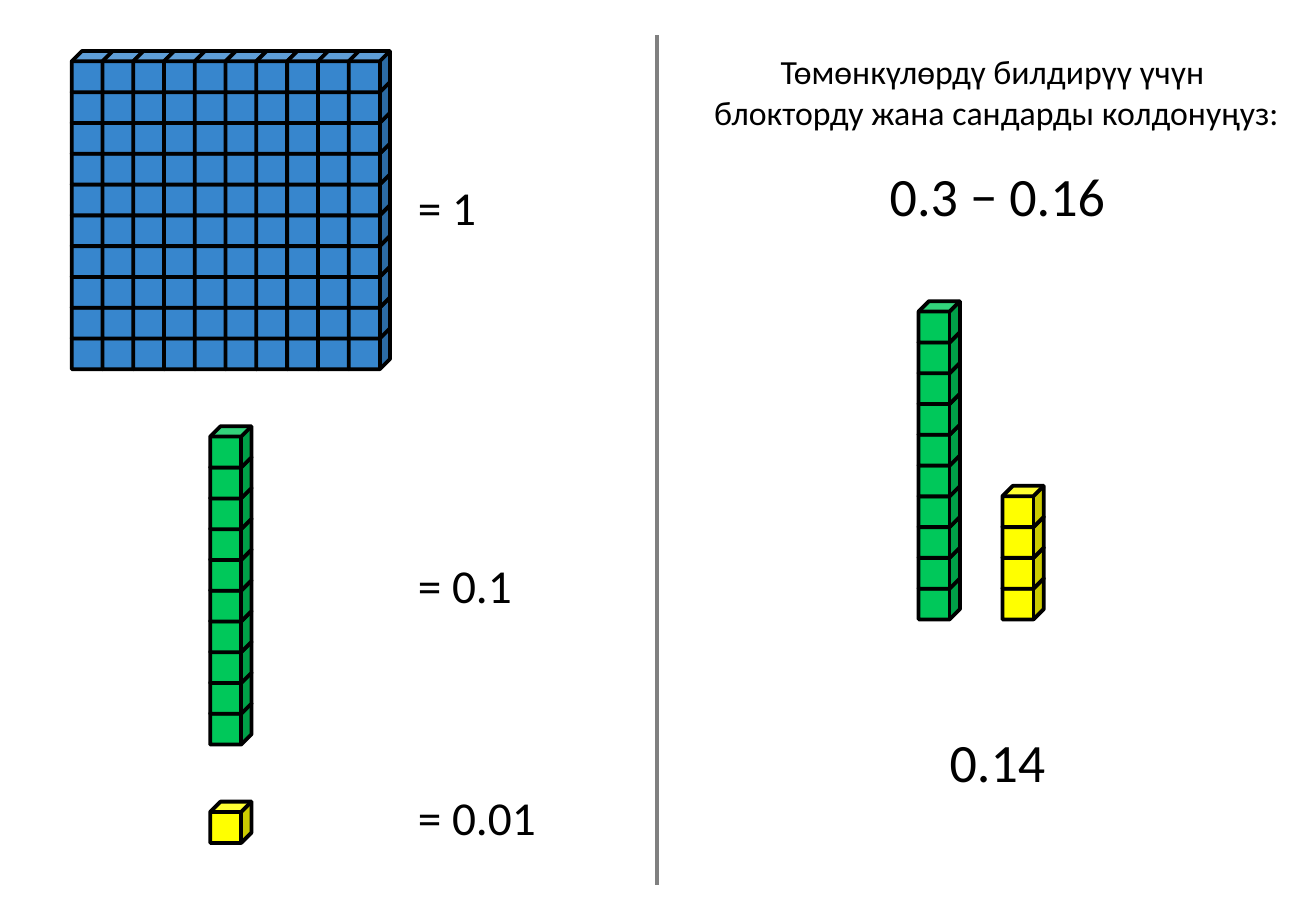
from itertools import product

from pptx import Presentation
from pptx.dml.color import RGBColor
from pptx.enum.shapes import MSO_CONNECTOR as CONNECTOR, MSO_SHAPE as SHAPE
from pptx.enum.text import MSO_AUTO_SIZE as AUTO_SIZE, PP_ALIGN as ALIGN
from pptx.oxml.ns import qn
from pptx.util import Inches, Pt
from lxml.etree import SubElement

BLUE, GREEN, YELLOW = "3786CD", "00C85A", "FFFF00"
BLACK, GREY = "000000", "808080"
CUBE_SIZE = 0.34
CUBE_STEP = 0.76 / 3

# left, top of the lowest cube, columns, rows, colour
BLOCKS = [
    (0.59, 2.7, 10, 10, BLUE),
    (1.73, 5.79, 1, 10, GREEN),
    (1.73, 6.6, 1, 1, YELLOW),
    (7.56, 4.76, 1, 10, GREEN),
    (8.25, 4.76, 1, 4, YELLOW),
]
KEY = {"size": Pt(28), "align": ALIGN.LEFT}
TASK = {"size": Pt(20), "align": ALIGN.CENTER}
SUM = {"size": Pt(32), "align": ALIGN.CENTER}
TEXTS = [
    (["= 1"], (3.34, 1.42, 0.69, 0.57), KEY),
    (["= 0.1"], (3.34, 4.53, 0.99, 0.57), KEY),
    (["= 0.01"], (3.34, 6.44, 1.19, 0.57), KEY),
    (["Төмөнкүлөрдү билдирүү үчүн ", "блокторду жана сандарды колдонуңуз:"],
     (5.76, 0.37, 4.88, 0.77), TASK),
    (["0.3 − 0.16"], (7.21, 1.29, 2, 0.64), SUM),
    (["0.14"], (7.71, 5.95, 1, 0.64), SUM),
]
DIVIDER = (5.41, 0.29, 5.41, 7.29)


def paint(target, colour):
    target.rgb = RGBColor.from_string(colour)


def outline(line, colour):
    paint(line.color, colour)
    line.width = Pt(2.25)


def add_block(shapes, left, bottom, columns, rows, colour):
    block = shapes.add_group_shape().shapes
    for column, row in product(range(columns), range(rows)):
        cube = block.add_shape(
            SHAPE.CUBE,
            Inches(left + column * CUBE_STEP), Inches(bottom - row * CUBE_STEP),
            Inches(CUBE_SIZE), Inches(CUBE_SIZE))
        cube.shadow.inherit = False
        cube.fill.solid()
        paint(cube.fill.fore_color, colour)
        outline(cube.line, BLACK)


def add_text(shapes, lines, place, style):
    frame = shapes.add_textbox(*map(Inches, place)).text_frame
    frame.word_wrap = False
    frame.auto_size = AUTO_SIZE.SHAPE_TO_FIT_TEXT
    frame.text = "\n".join(lines)
    for paragraph in frame.paragraphs:
        paragraph.alignment = style["align"]
        font = paragraph.runs[0].font
        for name, value in {"name": "Calibri", "size": style["size"]}.items():
            setattr(font, name, value)
        paint(font.color, BLACK)


def main():
    deck = Presentation()
    deck.slide_width, deck.slide_height = Inches(10.83), Inches(7.5)
    shapes = deck.slides.add_slide(deck.slide_layouts[6]).shapes
    for block in BLOCKS:
        add_block(shapes, *block)
    for text in TEXTS:
        add_text(shapes, *text)
    divider = shapes.add_connector(CONNECTOR.STRAIGHT, *map(Inches, DIVIDER))
    outline(divider.line, GREY)
    SubElement(divider.element.spPr, qn("a:effectLst"))
    deck.save("out.pptx")


if __name__ == "__main__":
    main()
